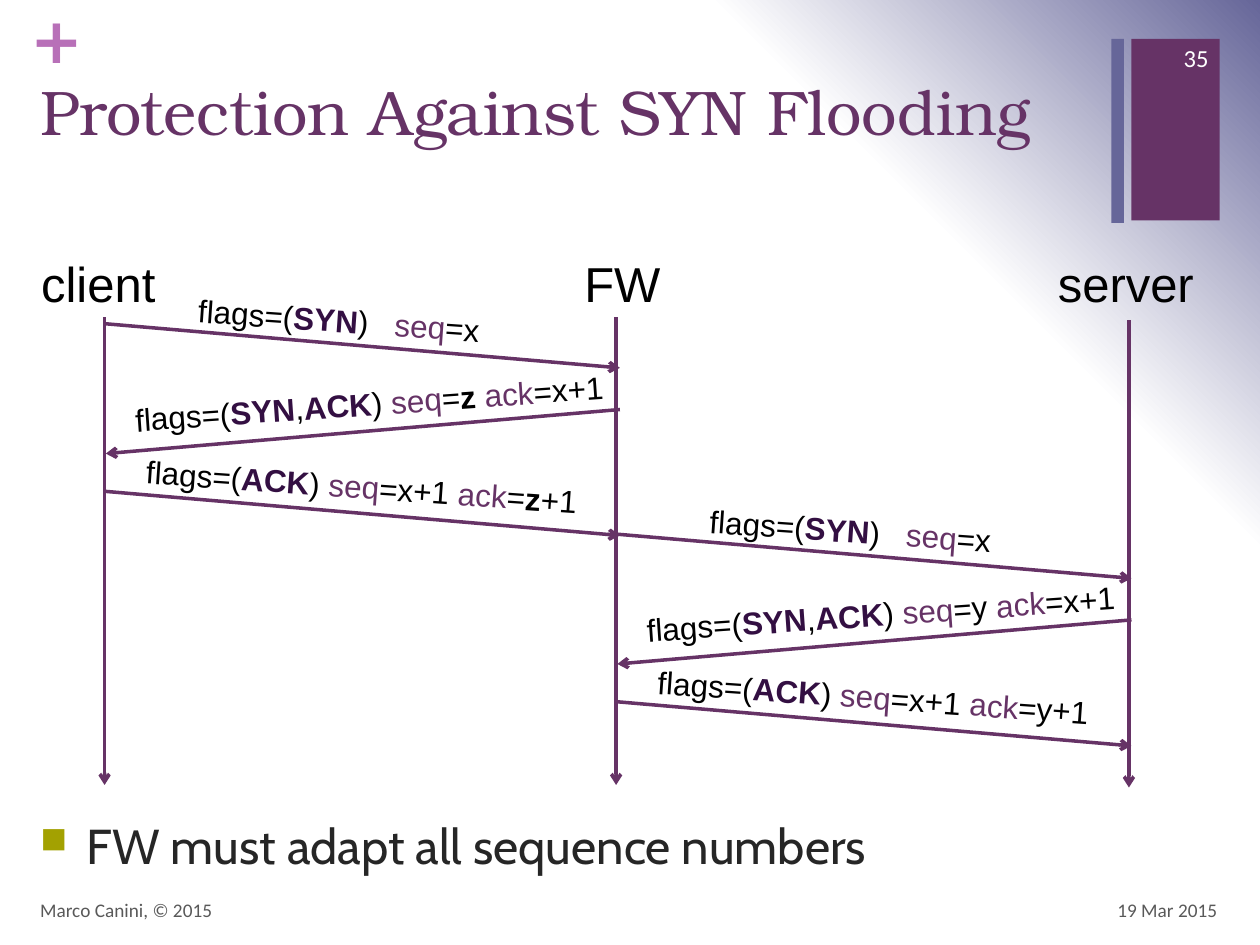
from lxml.etree import SubElement
from pptx import Presentation
from pptx.dml.color import RGBColor
from pptx.enum.shapes import MSO_CONNECTOR, MSO_SHAPE
from pptx.enum.text import MSO_ANCHOR, PP_ALIGN
from pptx.oxml import parse_xml
from pptx.oxml.ns import nsdecls, qn
from pptx.util import Inches, Pt

PURPLE, SLATE, BLACK, DARK, GREY = "663366", "666699", "000000", "330F42", "595959"

# name, lifeline x, lifeline top, label left, label width
HOSTS = [
    ("client", 0.83, 2.52, 0.05, 1.46),
    ("FW", 4.89, 2.52, 4.21, 1.46),
    ("server", 8.96, 2.54, 8.08, 1.71),
]
LIFELINE_LENGTH = 3.71

# x and y shift of each handshake, with the sequence number the replier picks
HANDSHAKES = [(0, 0, "z"), (4.06, 1.67, "y")]
# flags, fields, to the right?, arrow start y, label left, top, width
MESSAGES = [
    (["SYN"], ["seq=x"], True, 2.57, 1.24, 2.34, 2.9),
    (["SYN", "ACK"], ["seq={n}", "ack=x+1"], False, 3.25, 0.59, 3.0, 4.68),
    (["ACK"], ["seq=x+1", "ack={n}+1"], True, 3.9, 0.64, 3.66, 4.46),
]
ARROW_LEFT, ARROW_RIGHT, ARROW_DROP, TILT = 0.84, 4.92, 0.35, 4

deck = Presentation()
deck.slide_width, deck.slide_height = Inches(10), Inches(7.5)
page = deck.slides.add_slide(deck.slide_layouts[6])


def color(value):
    return RGBColor.from_string(value)


def set_background():
    """Radial gradient that spreads from the bottom left corner."""
    page.background.fill.gradient()
    old = next(page.element.iter(qn("a:gradFill")))
    stops = "".join(
        f'<a:gs pos="{percent * 1000}"><a:srgbClr val="{value}"/></a:gs>'
        for percent, value in [(0, "FFFFFF"), (75, "FFFFFF"), (100, SLATE)])
    old.getparent().replace(old, parse_xml(
        f'<a:gradFill {nsdecls("a")} rotWithShape="1"><a:gsLst>{stops}</a:gsLst>'
        '<a:path path="circle"><a:fillToRect t="100000" r="100000"/></a:path>'
        '</a:gradFill>'))


def add_bar(left, top, width, height, fill):
    bar = page.shapes.add_shape(
        MSO_SHAPE.RECTANGLE, *map(Inches, (left, top, width, height)))
    bar.shadow.inherit = False
    bar.fill.solid()
    bar.fill.fore_color.rgb = color(fill)
    bar.line.fill.background()


def add_bullet(para, char, fill, percent, indent):
    props = para._p.get_or_add_pPr()
    props.set("marL", str(Inches(indent)))
    props.set("indent", str(-Inches(indent)))
    SubElement(SubElement(props, qn("a:buClr")), qn("a:srgbClr"), val=fill)
    SubElement(props, qn("a:buSzPct"), val=str(percent * 1000))
    SubElement(props, qn("a:buChar"), char=char)


def add_text(text, left, top, width, height, size=18, font="Arial", fill=BLACK,
             bold=False, align=PP_ALIGN.LEFT, anchor=MSO_ANCHOR.TOP,
             rotation=0, inset=None, bullet=None):
    """text is a string, or a list of (text, format dict) spans."""
    box = page.shapes.add_textbox(*map(Inches, (left, top, width, height)))
    box.rotation = rotation
    frame = box.text_frame
    frame.word_wrap = True
    frame.vertical_anchor = anchor
    if inset is not None:
        frame.margin_left = frame.margin_right = Inches(inset)
        frame.margin_top = frame.margin_bottom = Inches(inset)
    para = frame.paragraphs[0]
    para.alignment = align
    if bullet:
        add_bullet(para, **bullet)
    for words, style in [(text, {})] if isinstance(text, str) else text:
        span = para.add_run()
        span.text = words
        span.font.name, span.font.size = font, Pt(size)
        span.font.bold = style.get("bold", bold)
        span.font.color.rgb = color(style.get("fill", fill))
        if "spacing" in style:
            span.font._element.set("spc", str(style["spacing"] * 100))


def add_arrow(x1, y1, x2, y2):
    arrow = page.shapes.add_connector(
        MSO_CONNECTOR.STRAIGHT, *map(Inches, (x1, y1, x2, y2)))
    arrow.line.color.rgb = color(PURPLE)
    arrow.line.width = Pt(2)
    SubElement(arrow.line._get_or_add_ln(), qn("a:tailEnd"), type="arrow")
    SubElement(arrow._element.spPr, qn("a:effectLst"))


def message_spans(flags, fields, number):
    spans = [("flags=(", {})]
    for position, flag in enumerate(flags):
        if position:
            spans.append((",", {}))
        spans.append((flag, {"fill": DARK, "bold": True}))
    spans.append((")", {}))
    for field in fields:
        name, value = field.format(n=number).split("=")
        # a lone field stands further from the flags
        spans.append((" ", {"spacing": 10} if len(fields) == 1 else {}))
        spans += [(name, {"fill": PURPLE}), ("=", {})]
        if value.startswith("z"):
            spans.append(("z", {"bold": True}))
            value = value[1:]
        if value:
            spans.append((value, {}))
    return spans


set_background()
add_bar(8.98, 0.31, 0.7, 1.44, PURPLE)
add_bar(8.82, 0.31, 0.1, 1.46, SLATE)
add_text("+", 0.24, 0, 0.29, 0.61, size=36, font="DejaVu Sans", fill="B870B8",
         bold=True, inset=0)
add_text("Protection Against SYN Flooding", 0.22, 0.53, 8.59, 1.22, size=36,
         font="TeX Gyre Bonum", fill=PURPLE)
add_text("FW must adapt all sequence numbers", 0.22, 6.42, 9.54, 0.61, size=28,
         font="Cabin", fill="262626",
         bullet={"char": "■", "fill": "A3A101", "percent": 75, "indent": 0.37})

for name, x, top, left, width in HOSTS:
    add_text(name, left, 1.96, width, 0.57, size=28, align=PP_ALIGN.CENTER)
    add_arrow(x, top, x, top + LIFELINE_LENGTH)

for dx, dy, number in HANDSHAKES:
    for flags, fields, rightward, y, left, top, width in MESSAGES:
        start, end = ARROW_LEFT + dx, ARROW_RIGHT + dx
        if not rightward:
            start, end = end, start
        add_arrow(start, y + dy, end, y + dy + ARROW_DROP)
        add_text(message_spans(flags, fields, number), left + dx, top + dy,
                 width, 0.4, align=PP_ALIGN.CENTER,
                 rotation=TILT if rightward else 360 - TILT)

small = {"font": "Calibri", "anchor": MSO_ANCHOR.MIDDLE}
add_text("19 Mar 2015", 7.43, 7.02, 2.33, 0.4, size=11, fill=GREY,
         align=PP_ALIGN.RIGHT, **small)
add_text("Marco Canini, © 2015", 0.22, 7.02, 6.7, 0.4, size=11, fill=GREY, **small)
add_text("35", 9.08, 0.26, 0.61, 0.4, size=14, fill="FFFFFF",
         align=PP_ALIGN.RIGHT, **small)

deck.save("out.pptx")
